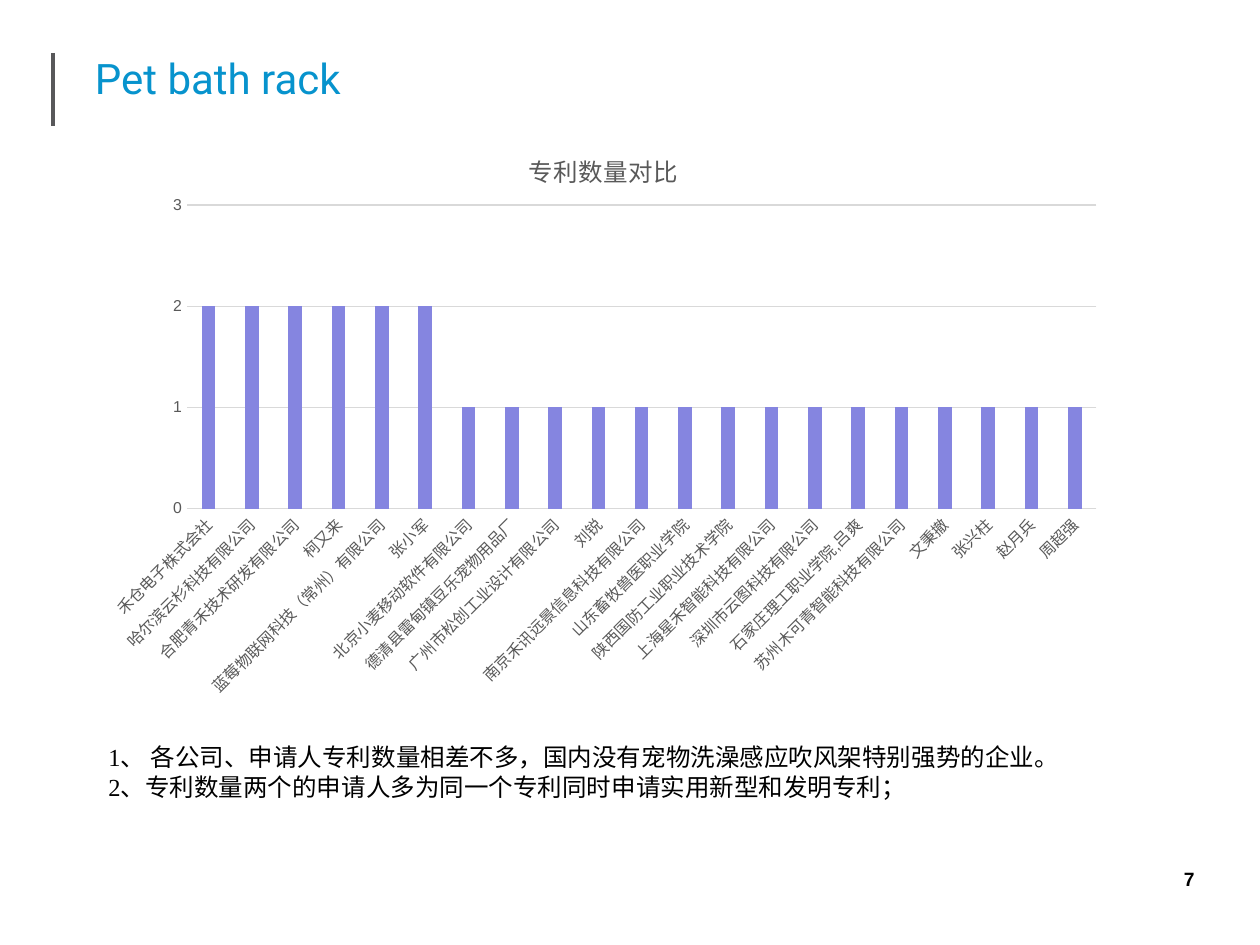
import pptx
import pptx.chart.data
import pptx.dml.color
import pptx.enum.chart
import pptx.enum.shapes
import pptx.enum.text
import pptx.oxml.ns
import pptx.util

PX = 914400 / 126  # EMU per px
THEME = {
    "rule": "58585A", "title": "0793CD", "text": "000000",
    "label": "595959", "grid": "D9D9D9", "bar": "8585E0",
    "title_pt": 24, "chart_title_pt": 14, "body_pt": 14,
    "number_pt": 11, "axis_pt": 9, "chart_pt": 10,
}


def px(*lengths):
    return [pptx.util.Emu(round(n * PX)) for n in lengths]


def style(font, name, size, color, bold=False):
    font.name, font.size, font.bold = name, pptx.util.Pt(THEME[size]), bold
    font.color.rgb = pptx.dml.color.RGBColor.from_string(THEME[color])


prs = pptx.Presentation()
prs.slide_width, prs.slide_height = px(1260, 945)
s = prs.slides.add_slide(prs.slide_layouts[6])
rgb = pptx.dml.color.RGBColor.from_string

# Rule beside the title
rule = s.shapes.add_connector(
    pptx.enum.shapes.MSO_CONNECTOR.STRAIGHT, *px(53, 53, 53, 126))
rule.line.color.rgb = rgb(THEME["rule"])
rule.line.width = pptx.util.Pt(2)
rule._element.spPr.append(pptx.oxml.xmlchemy.OxmlElement("a:effectLst"))

# Page number
tf = s.shapes.add_textbox(*px(945, 861, 262, 63)).text_frame
tf.word_wrap = True
p = tf.paragraphs[0]
p.alignment = pptx.enum.text.PP_ALIGN.RIGHT
r = p.add_run()
r.text = "7"
style(r.font, "Arial", "number_pt", "text", True)

# Title
tf = s.shapes.add_textbox(*px(95, 53, 1121, 73)).text_frame
tf.word_wrap = True
tf.margin_left = tf.margin_right = tf.margin_top = tf.margin_bottom = 0
r = tf.paragraphs[0].add_run()
r.text = "Pet bath rack"
style(r.font, "Roboto", "title_pt", "title")

# Patent counts per applicant
applicants = {
    2: ["禾仓电子株式会社", "哈尔滨云杉科技有限公司", "合肥青禾技术研发有限公司",
        "柯又来", "蓝莓物联网科技（常州）有限公司", "张小军"],
    1: ["北京小麦移动软件有限公司", "德清县雷甸镇豆乐宠物用品厂",
        "广州市松创工业设计有限公司", "刘锐", "南京禾讯远景信息科技有限公司",
        "山东畜牧兽医职业学院", "陕西国防工业职业技术学院",
        "上海星禾智能科技有限公司", "深圳市云图科技有限公司",
        "石家庄理工职业学院,吕爽", "苏州木可青智能科技有限公司",
        "文秉撤", "张兴柱", "赵月兵", "周超强"],
}
data = pptx.chart.data.CategoryChartData(number_format="0")
data.categories = [name for names in applicants.values() for name in names]
data.add_series("Series 1", [n for n, names in applicants.items() for _ in names])
chart = s.shapes.add_chart(
    pptx.enum.chart.XL_CHART_TYPE.COLUMN_CLUSTERED,
    *px(95, 116, 1022, 595), data).chart
style(chart.font, "Arial", "chart_pt", "text")
chart.has_legend = False

# Chart title
chart.has_title = True
r = chart.chart_title.text_frame.paragraphs[0].add_run()
r.text = "专利数量对比"
style(r.font, "Arial", "chart_title_pt", "label")
chart.chart_title.include_in_layout = False

# Bars
plot = chart.plots[0]
plot.vary_by_categories = False
plot.gap_width, plot.overlap = 219, -27
fill = plot.series[0].format.fill
fill.solid()
fill.fore_color.rgb = rgb(THEME["bar"])

# Axes
cat, val = chart.category_axis, chart.value_axis
for axis in (cat, val):
    style(axis.tick_labels.font, "Arial", "axis_pt", "label")
    axis.major_tick_mark = axis.minor_tick_mark = pptx.enum.chart.XL_TICK_MARK.NONE
val.minimum_scale, val.maximum_scale, val.major_unit = 0, 3, 1
val.has_major_gridlines = True
val.format.line.fill.background()
for line in (cat.format.line, val.major_gridlines.format.line):
    line.color.rgb = rgb(THEME["grid"])
    line.width = pptx.util.Pt(0.75)
cat._element.find(pptx.oxml.ns.qn("c:txPr")).bodyPr.set("rot", "-2700000")

# Fixed places of chart title and plot area, as shares of the chart
title_el = chart.chart_title._element
plot_el = chart._chartSpace.chart.plotArea
places = (
    (title_el, {"xMode": "edge", "yMode": "edge", "x": 0.42, "y": 0.05}),
    (plot_el, {"layoutTarget": "inner", "xMode": "edge", "yMode": "edge",
               "x": 0.09, "y": 0.15, "w": 0.89, "h": 0.51}),
)
for parent, values in places:
    for old in parent.findall(pptx.oxml.ns.qn("c:layout")):
        parent.remove(old)
    layout = pptx.oxml.xmlchemy.OxmlElement("c:layout")
    manual = pptx.oxml.xmlchemy.OxmlElement("c:manualLayout")
    layout.append(manual)
    for key, value in values.items():
        el = pptx.oxml.xmlchemy.OxmlElement("c:" + key)
        el.set("val", str(value))
        manual.append(el)
    parent.insert(1 if parent is title_el else 0, layout)

# Findings
tf = s.shapes.add_textbox(*px(1, 736, 1245, 351)).text_frame
tf.word_wrap = True
findings = (
    "1、 各公司、申请人专利数量相差不多，国内没有宠物洗澡感应吹风架特别强势的企业。",
    "2、专利数量两个的申请人多为同一个专利同时申请实用新型和发明专利；",
)
for i, finding in enumerate(findings):
    p = tf.add_paragraph() if i else tf.paragraphs[0]
    p._p.get_or_add_pPr().set("marL", str(px(95)[0]))
    r = p.add_run()
    r.text = finding
    style(r.font, "Times New Roman", "body_pt", "text")

prs.save("out.pptx")
